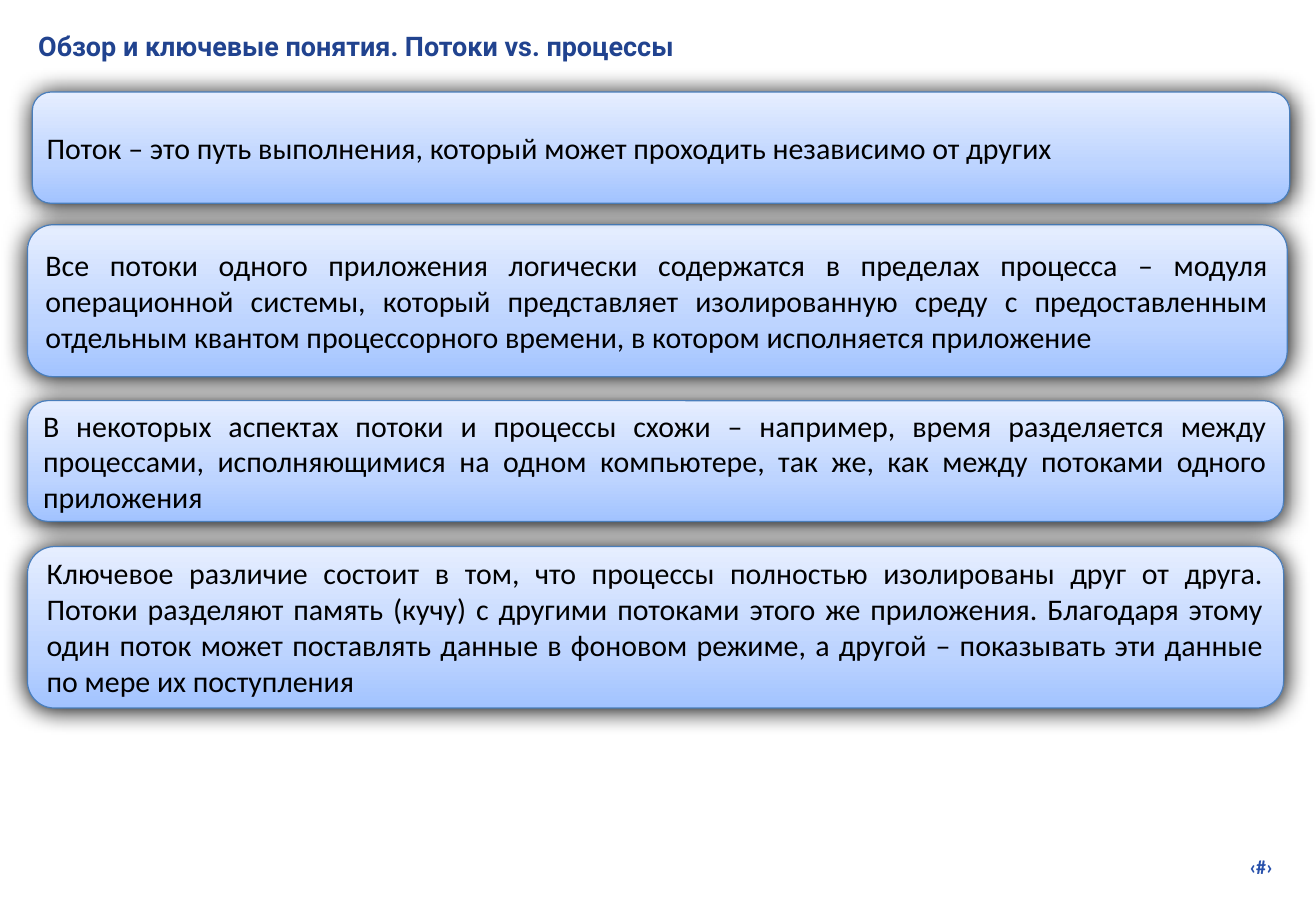
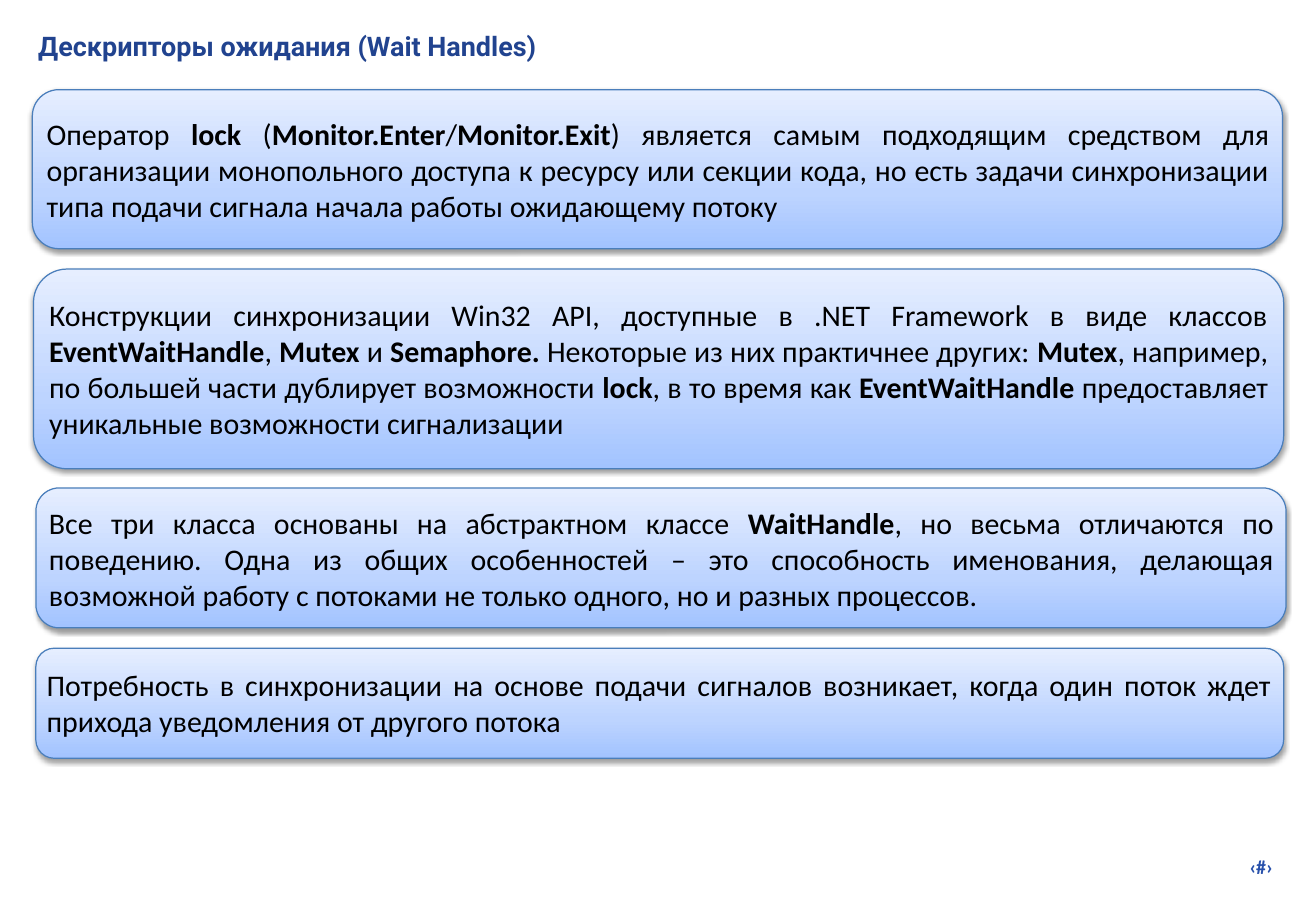
from copy import deepcopy

from lxml import etree
from pptx import Presentation
from pptx import util as u
from pptx.dml import color
from pptx.enum import shapes, text
from pptx.oxml import ns

HUES = {
    "title": "21438F",
    "page": "2750AB",
    "body": "000000",
    "edge": "4A7EBB",
    "shade": "000000",
}
STOPS = [(0, "A2C3FF"), (0.35, "BDD4FF"), (1, "E6EEFF")]
GLOW = {"alpha": 100, "blur": 15, "dist": 0.7}
DROP = {"alpha": 38, "blur": 3, "dist": 1.6}

THREADS = [
    ((0.23, 1.88, 10.53, 1.27), (0.33, 2, 10.32, 1.03),
     "Все потоки одного приложения логически содержатся в пределах процесса – "
     "модуля операционной системы, который представляет изолированную среду с "
     "предоставленным отдельным квантом процессорного времени, в котором "
     "исполняется приложение"),
    ((0.23, 3.35, 10.5, 1.01), (0.31, 3.34, 10.33, 1.03),
     "В некоторых аспектах потоки и процессы схожи – например, время разделяется "
     "между процессами, исполняющимися на одном компьютере, так же, как между "
     "потоками одного приложения"),
    ((0.23, 4.57, 10.5, 1.35), (0.34, 4.57, 10.27, 1.34),
     "Ключевое различие состоит в том, что процессы полностью изолированы друг от "
     "друга. Потоки разделяют память (кучу) с другими потоками этого же "
     "приложения. Благодаря этому один поток может поставлять данные в фоновом "
     "режиме, а другой – показывать эти данные по мере их поступления"),
    ((0.27, 0.77, 10.51, 0.93), (0.34, 1.03, 10.36, 0.41),
     "Поток – это путь выполнения, который может проходить независимо от других"),
]

HANDLES = [
    ((0.27, 0.75, 10.45, 1.33), (0.34, 0.91, 10.32, 1.02),
     "Оператор *lock* (*Monitor.Enter*/*Monitor.Exit*) является самым подходящим "
     "средством для организации монопольного доступа к ресурсу или секции кода, "
     "но есть задачи синхронизации типа подачи сигнала начала работы ожидающему "
     "потоку"),
    ((0.28, 2.25, 10.45, 1.67), (0.36, 2.42, 10.29, 1.32),
     "Конструкции синхронизации Win32 API, доступные в .NET Framework в виде "
     "классов *EventWaitHandle*, *Mutex* и *Semaphore.* Некоторые из них "
     "практичнее других: *Mutex*, например, по большей части дублирует "
     "возможности *lock*, в то время как *EventWaitHandle* предоставляет "
     "уникальные возможности сигнализации"),
    ((0.3, 4.08, 10.45, 1.17), (0.36, 4.16, 10.34, 1.02),
     "Все три класса основаны на абстрактном классе *WaitHandle*, но весьма "
     "отличаются по поведению. Одна из общих особенностей – это способность "
     "именования, делающая возможной работу с потоками не только одного, но и "
     "разных процессов."),
    ((0.3, 5.42, 10.43, 0.92), (0.34, 5.52, 10.34, 0.71),
     "Потребность в синхронизации на основе подачи сигналов возникает, когда один "
     "поток ждет прихода уведомления от другого потока"),
]


def hue(code):
    return color.RGBColor.from_string(code)


def place(area):
    return [u.Inches(n) for n in area]


class Deck:
    def __init__(self):
        self.prs = Presentation()
        self.prs.slide_width = u.Inches(11)
        self.prs.slide_height = u.Inches(7.5)
        self.slide = None

    def page(self, title):
        self.slide = self.prs.slides.add_slide(self.prs.slide_layouts[6])
        self.label(self.slide, (8.36, 7.1, 2.33, 0.29), "‹#›", "page", 12,
                   align=text.PP_ALIGN.RIGHT, bold=True)
        self.label(self.slide, (0.27, 0.2, 10.5, 0.4), title, "title", 16.2,
                   face="Roboto", bold=True)

    def label(self, home, area, words, tone, size, face="Calibri",
              align=text.PP_ALIGN.LEFT, anchor=text.MSO_ANCHOR.TOP, bold=False):
        frame = home.shapes.add_textbox(*place(area)).text_frame
        frame.word_wrap = True
        frame.vertical_anchor = anchor
        frame.margin_left = frame.margin_right = u.Inches(0.05)
        frame.margin_top = frame.margin_bottom = u.Inches(0.05)
        para = frame.paragraphs[0]
        para.alignment = align
        for i, part in enumerate(words.split("*")):
            run = para.add_run()
            run.text = part
            font = run.font
            font.name, font.size = face, u.Pt(size)
            font.bold = bold or i % 2 == 1
            font.color.rgb = hue(HUES[tone])

    def panel(self, home, area, shade):
        box = home.shapes.add_shape(shapes.MSO_SHAPE.ROUNDED_RECTANGLE, *place(area))
        box.line.color.rgb = hue(HUES["edge"])
        box.line.width = u.Pt(0.75)
        box.fill.gradient()
        box.fill.gradient_angle = 90
        props = box._element.spPr
        stops = props.find(".//" + ns.qn("a:gsLst"))
        stops.append(deepcopy(stops[0]))
        for stop, (pos, code) in zip(box.fill.gradient_stops, STOPS):
            stop.position = pos
            stop.color.rgb = hue(code)
        box.shadow.inherit = False
        cast = etree.SubElement(
            props.find(ns.qn("a:effectLst")), ns.qn("a:outerShdw"),
            blurRad=str(u.Pt(shade["blur"])), dist=str(u.Pt(shade["dist"])),
            dir="5400000", rotWithShape="0")
        tint = etree.SubElement(cast, ns.qn("a:srgbClr"), val=HUES["shade"])
        etree.SubElement(tint, ns.qn("a:alpha"), val=str(shade["alpha"] * 1000))

    def card(self, area, inner, words, shade):
        group = self.slide.shapes.add_group_shape()
        self.panel(group, area, shade)
        self.label(group, inner, words, "body", 18,
                   align=text.PP_ALIGN.JUSTIFY, anchor=text.MSO_ANCHOR.MIDDLE)


def main():
    deck = Deck()
    for title, cards, shade in [
        ("Обзор и ключевые понятия. Потоки vs. процессы", THREADS, GLOW),
        ("Дескрипторы ожидания (Wait Handles)", HANDLES, DROP),
    ]:
        deck.page(title)
        for area, inner, words in cards:
            deck.card(area, inner, words, shade)
    deck.prs.save("out.pptx")


if __name__ == "__main__":
    main()
